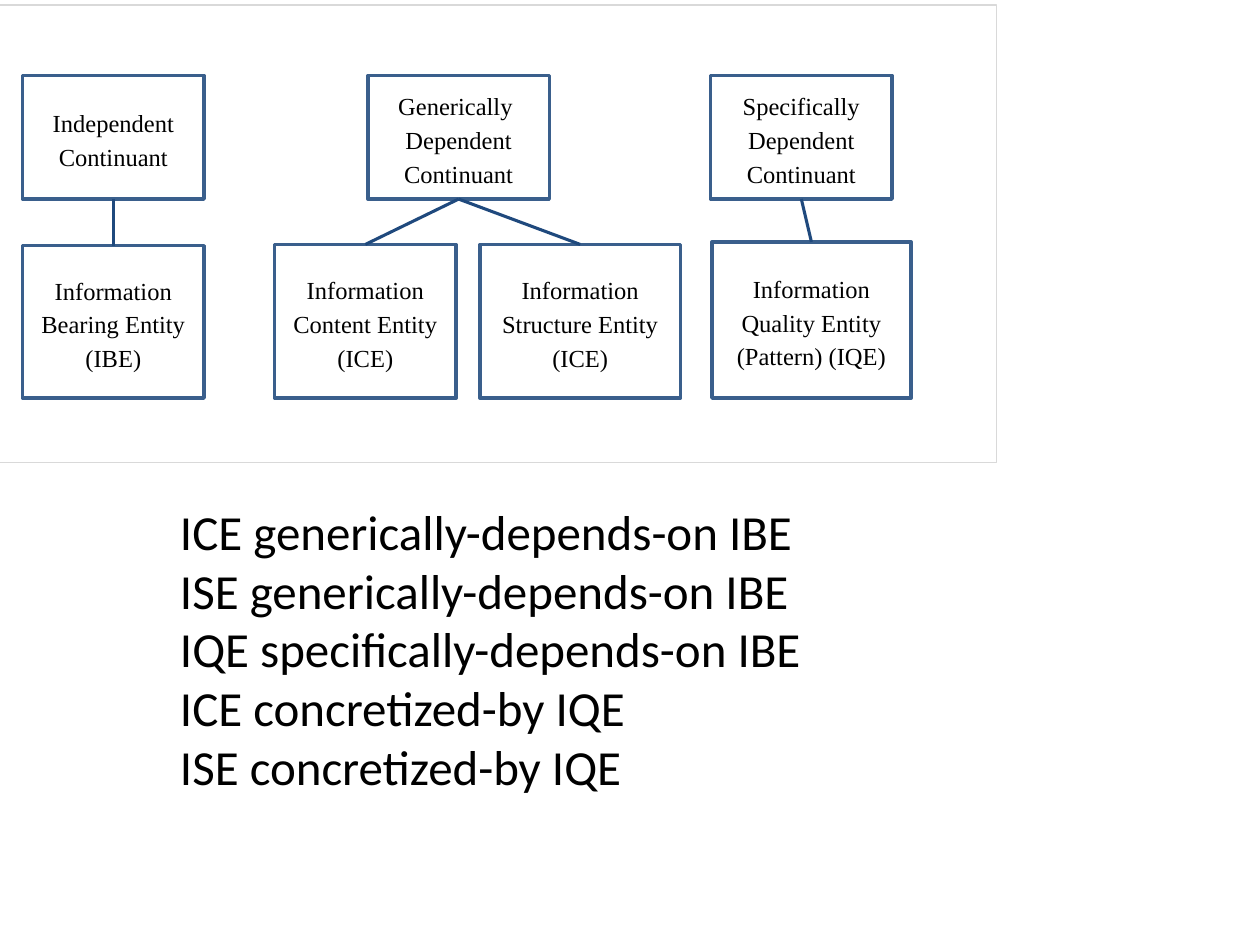
from lxml import etree
from pptx import Presentation
from pptx.dml.color import RGBColor
from pptx.enum.shapes import MSO_CONNECTOR, MSO_SHAPE
from pptx.enum.text import MSO_ANCHOR, MSO_AUTO_SIZE, PP_ALIGN
from pptx.oxml.ns import qn
from pptx.util import Inches, Pt

RECTANGLE = MSO_SHAPE.RECTANGLE
STRAIGHT = MSO_CONNECTOR.STRAIGHT
MIDDLE = MSO_ANCHOR.MIDDLE
CENTER = PP_ALIGN.CENTER
GROW = MSO_AUTO_SIZE.SHAPE_TO_FIT_TEXT
TOP_SIDE, BOTTOM_SIDE = 0, 2

COLORS = {"frame": "D9D9D9", "border": "3A5F8C", "link": "1F497D", "text": "000000"}
ENTITY_FONT = {"name": "Times New Roman", "size": Pt(14)}
ENTITY_PARAGRAPH = {"alignment": CENTER, "line_spacing": 1.15, "space_after": Pt(10)}
RELATION_FONT = {"name": "Calibri", "size": Pt(28)}

PARENT_TOP, PARENT_HEIGHT = 0.6, 0.98
ENTITY_WIDTH = 1.44
CHILD_BOTTOM = 3.16

PARENTS = {
    "independent": (0.18, "Independent Continuant"),
    "generic": (2.92, "Generically \vDependent Continuant"),
    "specific": (5.64, "Specifically Dependent Continuant"),
}
CHILDREN = [
    ("independent", 0.18, 1.95, ENTITY_WIDTH, "Information Bearing Entity (IBE)"),
    ("generic", 2.18, 1.94, ENTITY_WIDTH, "Information Content Entity (ICE)"),
    ("generic", 3.81, 1.94, 1.59, "Information Structure Entity (ICE)"),
    ("specific", 5.65, 1.92, 1.58, "Information Quality Entity (Pattern) (IQE)"),
]
RELATIONS = [
    "ICE generically-depends-on IBE",
    "ISE generically-depends-on IBE",
    "IQE specifically-depends-on IBE",
    "ICE concretized-by IQE",
    "ISE concretized-by IQE",
]


def apply_format(target, values):
    for name, value in values.items():
        setattr(target, name, value)


def format_font(font, values):
    apply_format(font, values)
    font.color.rgb = RGBColor.from_string(COLORS["text"])


def format_line(line, color, width):
    line.color.rgb = RGBColor.from_string(COLORS[color])
    line.width = Pt(width)


def add_outline(page, left, top, width, height, color, line_width):
    lengths = [Inches(value) for value in (left, top, width, height)]
    box = page.shapes.add_shape(RECTANGLE, *lengths)
    box.shadow.inherit = False
    box.fill.background()
    format_line(box.line, color, line_width)
    return box


def add_entity(page, left, top, width, height, text):
    box = add_outline(page, left, top, width, height, "border", 2)
    frame = box.text_frame
    apply_format(frame, {"word_wrap": True, "vertical_anchor": MIDDLE})
    para = frame.paragraphs[0]
    para.text = text
    apply_format(para, ENTITY_PARAGRAPH)
    for span in para.runs:
        format_font(span.font, ENTITY_FONT)
    return box


def add_link(page, parent, child):
    link = page.shapes.add_connector(STRAIGHT, 0, 0, 0, 0)
    link.begin_connect(parent, BOTTOM_SIDE)
    link.end_connect(child, TOP_SIDE)
    format_line(link.line, "link", 1.75)
    etree.SubElement(link._element.spPr, qn("a:effectLst"))


def add_relations(page, left, top, width, height):
    lengths = [Inches(value) for value in (left, top, width, height)]
    frame = page.shapes.add_textbox(*lengths).text_frame
    apply_format(frame, {"word_wrap": True, "auto_size": GROW})
    frame.text = "\n".join(RELATIONS)
    for para in frame.paragraphs:
        for span in para.runs:
            format_font(span.font, RELATION_FONT)


def main():
    deck = Presentation()
    apply_format(deck, {"slide_width": Inches(10), "slide_height": Inches(7.5)})
    page = deck.slides.add_slide(deck.slide_layouts[6])

    add_outline(page, -0.22, 0.04, 8.13, 3.63, "frame", 0.75)
    parents = {
        name: add_entity(page, left, PARENT_TOP, ENTITY_WIDTH, PARENT_HEIGHT, text)
        for name, (left, text) in PARENTS.items()
    }
    for parent, left, top, width, text in CHILDREN:
        child = add_entity(page, left, top, width, CHILD_BOTTOM - top, text)
        add_link(page, parents[parent], child)
    add_relations(page, 1.33, 3.93, 5.58, 2.46)

    deck.save("out.pptx")


if __name__ == "__main__":
    main()
